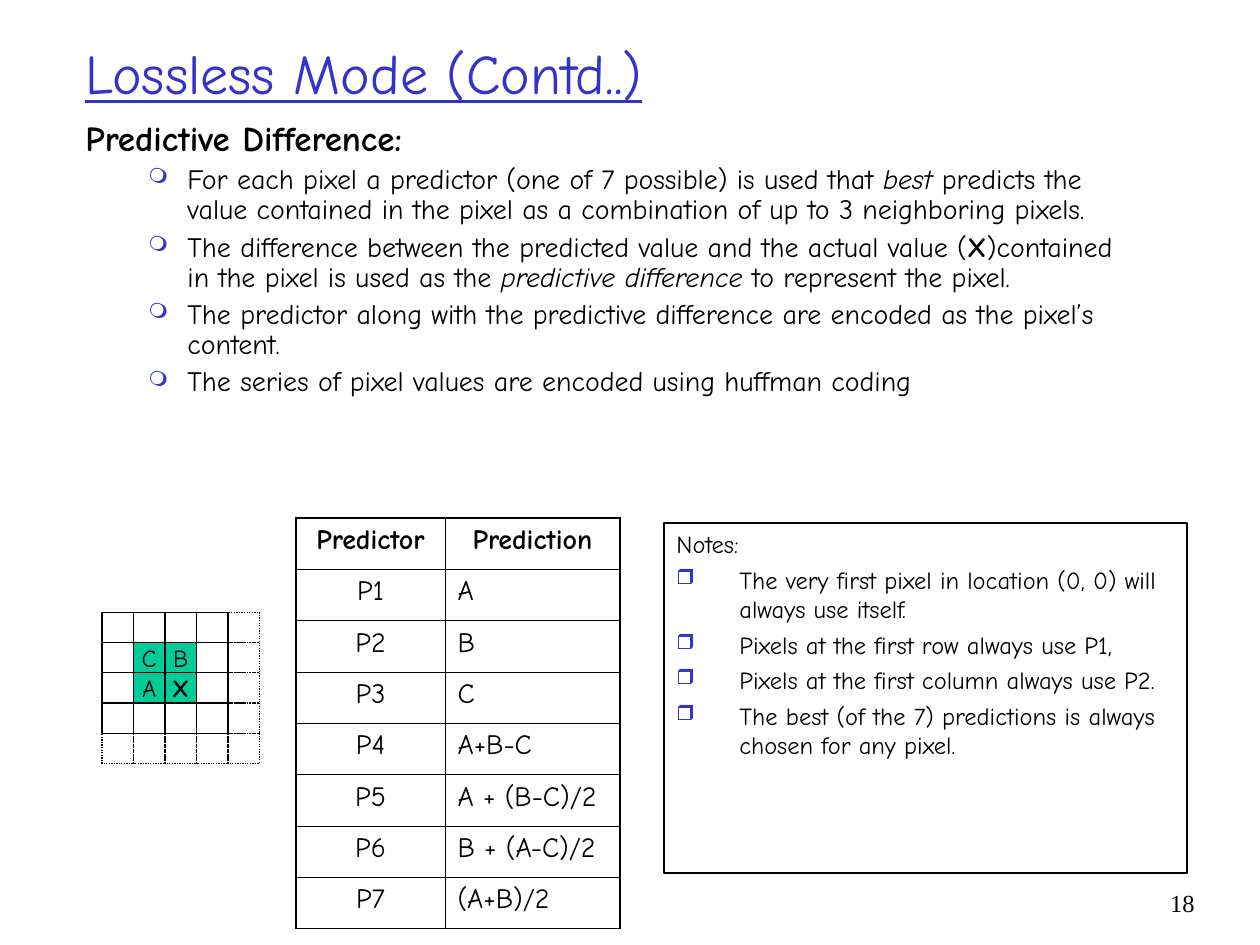
from lxml import etree
from pptx import Presentation
from pptx.dml.color import RGBColor
from pptx.enum.dml import MSO_LINE
from pptx.enum.shapes import MSO_SHAPE
from pptx.enum.text import MSO_ANCHOR, PP_ALIGN
from pptx.oxml.ns import qn
from pptx.util import Inches, Pt

RECT = MSO_SHAPE.RECTANGLE
DOTTED = MSO_LINE.ROUND_DOT
TOP, MIDDLE = MSO_ANCHOR.TOP, MSO_ANCHOR.MIDDLE
LEFT, CENTER, RIGHT = PP_ALIGN.LEFT, PP_ALIGN.CENTER, PP_ALIGN.RIGHT

FONT = "Comic Neue"
BLACK, BLUE, GREEN = "000000", "3333CC", "00CC99"
WIDTH, HEIGHT = Inches(10), Inches(7.5)
COL, ROW = WIDTH // 100, HEIGHT // 75
THIN, THICK = 0.45, 1.08

POINTS = [
    ["For each pixel a predictor (one of 7 possible) is used that ", ("best", "i"),
     " predicts the value contained in the pixel as a combination of up to 3 neighboring pixels."],
    ["The difference between the predicted value and the actual value (", ("X", "b"),
     ")contained in the pixel is used as the ", ("predictive difference ", "i"),
     "to represent the pixel."],
    ["The predictor along with the predictive difference are encoded as the pixel’s content."],
    ["The series of pixel values are encoded using huffman coding"],
]
PREDICTIONS = ["A", "B", "C", "A+B-C", "A + (B-C)/2", "B + (A-C)/2", "(A+B)/2"]
NOTES = [
    "The very first pixel in location (0, 0) will always use itself.",
    "Pixels at the first row always use P1,",
    "Pixels at the first column always use P2.",
    "The best (of the 7) predictions is always chosen for any pixel.",
]
NEIGHBOURS = {(1, 1): "C", (1, 2): "B", (2, 1): "A", (2, 2): "X"}


def color(value):
    """Turn a hex string into a colour."""
    return RGBColor.from_string(value)


def place(box):
    """Turn a box in columns and rows into slide lengths."""
    x, y, w, h = box
    return round(x * COL), round(y * ROW), round(w * COL), round(h * ROW)


def add_bullet(p, char, percent):
    """Give a paragraph a blue bullet of a relative size."""
    pPr = p._p.get_or_add_pPr()
    clr = etree.SubElement(pPr, qn("a:buClr"))
    etree.SubElement(clr, qn("a:srgbClr"), val=BLUE)
    etree.SubElement(pPr, qn("a:buSzPct"), val=str(percent * 1000))
    etree.SubElement(pPr, qn("a:buChar"), char=char)


def add_text(tf, runs, size=16, font=FONT, fill=BLACK, bold=False, underline=False,
             align=LEFT, before=0, spacing=None, margin=0, hanging=0, bullet=None):
    """Add one formatted paragraph and return it."""
    p = tf.paragraphs[0] if not tf.text else tf.add_paragraph()
    p.alignment, p.space_before, p.line_spacing = align, Pt(before), spacing
    if margin:
        pPr = p._p.get_or_add_pPr()
        pPr.set("marL", str(Inches(margin)))
        pPr.set("indent", str(-Inches(hanging)))
    if bullet:
        add_bullet(p, *bullet)
    for run in [runs] if isinstance(runs, str) else runs:
        text, style = (run, "") if isinstance(run, str) else run
        r = p.add_run()
        r.text = text
        r.font.size, r.font.name, r.font.color.rgb = Pt(size), font, color(fill)
        r.font.bold, r.font.italic = bold or "b" in style, "i" in style
        r.font.underline = underline
    return p


def add_frame(s, box, anchor=TOP):
    """Add a wrapping text box and return its text frame."""
    tf = s.shapes.add_textbox(*place(box)).text_frame
    tf.word_wrap, tf.vertical_anchor = True, anchor
    return tf


def add_rect(s, box, fill=None, dash=None):
    """Add an outlined rectangle."""
    sp = s.shapes.add_shape(RECT, *place(box))
    sp.shadow.inherit = False
    if fill:
        sp.fill.solid()
        sp.fill.fore_color.rgb = color(fill)
    else:
        sp.fill.background()
    sp.line.color.rgb, sp.line.width = color(BLACK), Pt(0.75)
    if dash:
        sp.line.dash_style = dash
    return sp


def add_title(s, box):
    """Write the underlined title."""
    add_text(add_frame(s, box, MIDDLE), "Lossless Mode (Contd..)",
             size=32, fill=BLUE, underline=True)


def add_body(s, box):
    """Write the heading and its bulleted points."""
    tf = add_frame(s, box)
    add_text(tf, "Predictive Difference:", size=20, bold=True, before=5, spacing=0.9,
             margin=0.38, hanging=0.38)
    for runs in POINTS:
        add_text(tf, runs, before=4, spacing=0.9, margin=0.81, hanging=0.31,
                 bullet=("❍", 75))


def add_pixel_grid(s, box, n=5):
    """Draw the pixels, with the neighbours of X filled and the far edges dotted."""
    x, y, w, h = box
    w, h = w / n, h / n
    cells = [(i, j) for i in range(n) for j in range(n)]
    for i, j in sorted(cells, key=lambda cell: (cell in NEIGHBOURS, n - 1 in cell)):
        label = NEIGHBOURS.get((i, j))
        sp = add_rect(s, (x + j * w, y + i * h, w, h), GREEN if label else None,
                      DOTTED if n - 1 in (i, j) else None)
        if label:
            tf = sp.text_frame
            tf.word_wrap, tf.vertical_anchor = False, MIDDLE
            add_text(tf, label, size=14, bold=label == "X", align=CENTER)


def set_borders(cell, widths):
    """Set the left, right, top and bottom borders of a cell."""
    tcPr = cell._tc.get_or_add_tcPr()
    for k, (side, width) in enumerate(zip("LRTB", widths)):
        ln = etree.Element(qn(f"a:ln{side}"), w=str(Pt(width)))
        fill = etree.SubElement(ln, qn("a:solidFill"))
        etree.SubElement(fill, qn("a:srgbClr"), val=BLACK)
        tcPr.insert(k, ln)


def add_predictor_table(s, box, shares=(0.46, 0.54)):
    """Build the table of predictors, with a thicker outer border."""
    rows = [("Predictor", "Prediction")]
    rows += [(f"P{k}", text) for k, text in enumerate(PREDICTIONS, 1)]
    last = len(rows) - 1
    x, y, w, h = place(box)
    table = s.shapes.add_table(len(rows), 2, x, y, w, h).table
    table.first_row = table.horz_banding = False
    for column, share in zip(table.columns, shares):
        column.width = round(w * share)
    for i, row in enumerate(rows):
        table.rows[i].height = h // len(rows)
        for j, text in enumerate(row):
            cell = table.cell(i, j)
            cell.fill.background()
            edges = (j == 0, j == 1, i == 0, i == last)
            set_borders(cell, [THICK if edge else THIN for edge in edges])
            add_text(cell.text_frame, text, bold=i == 0, before=4,
                     align=CENTER if i == 0 or j == 0 else LEFT)


def add_notes_box(s, box):
    """Draw the framed list of notes."""
    tf = add_rect(s, box).text_frame
    tf.word_wrap, tf.vertical_anchor = True, TOP
    style = dict(size=14, before=3.5, margin=0.5, hanging=0.5)
    add_text(tf, "Notes:", **style)
    for note in NOTES:
        add_text(tf, note, bullet=("❒", 85), **style)


def add_page_number(s, box):
    """Write the page number."""
    add_text(add_frame(s, box), "18", size=14, font="Times New Roman", align=RIGHT)


def main():
    """Build the slide and save it."""
    prs = Presentation()
    prs.slide_width, prs.slide_height = WIDTH, HEIGHT
    s = prs.slides.add_slide(prs.slide_layouts[6])
    add_title(s, (5.8, 2.5, 85, 6.4))
    add_body(s, (5.8, 9.1, 85, 30.7))
    add_pixel_grid(s, (8.1, 48.6, 12.5, 12))
    add_predictor_table(s, (23.5, 41.1, 25.7, 32.6))
    add_notes_box(s, (52.7, 41.5, 41.5, 27.8))
    add_page_number(s, (90.8, 70, 5, 5))
    prs.save("out.pptx")


if __name__ == "__main__":
    main()
